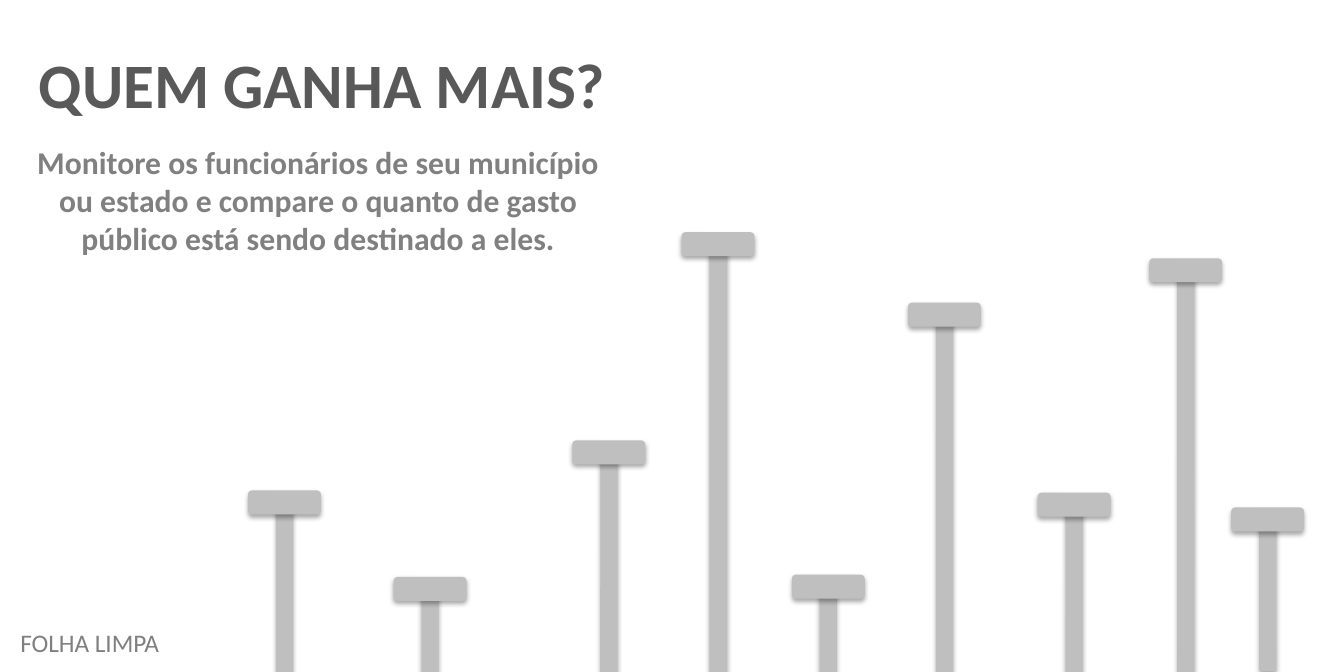
from pptx import Presentation
from pptx.dml.color import RGBColor
from pptx.enum.shapes import MSO_SHAPE as SHAPE
from pptx.enum.text import MSO_ANCHOR as ANCHOR, MSO_AUTO_SIZE as AUTO_SIZE, PP_ALIGN as ALIGN
from pptx.oxml import parse_xml
from pptx.oxml.ns import nsdecls
from pptx.util import Cm, Inches, Pt

FONT = "Calibri"
DARK_GRAY, MID_GRAY, PIN_GRAY = "595959", "808080", "BFBFBF"

CAP_WIDTH, CAP_HEIGHT = 0.64, 0.21
STEM_WIDTH, STEM_DROP = 0.15, 0.13

# Cap left, cap top and stem bottom of each pin, from back to front
PINS = [
    (10.82, 4.46, 5.9), (10.1, 2.27, 6.0), (9.12, 4.33, 6.0),
    (6.96, 5.05, 6.05), (7.98, 2.66, 6.04), (5.99, 2.04, 6.07),
    (2.18, 4.31, 6.04), (5.03, 3.87, 6.06), (3.46, 5.07, 6.07),
]


def color(hex_value):
    return RGBColor.from_string(hex_value)


def write_text(frame, text, size, hex_color, bold=False, align=ALIGN.LEFT, wrap=False):
    frame.word_wrap = wrap
    frame.auto_size = AUTO_SIZE.SHAPE_TO_FIT_TEXT
    frame.vertical_anchor = ANCHOR.TOP
    paragraph = frame.paragraphs[0]
    paragraph.alignment = align
    run = paragraph.add_run()
    run.text = text
    run.font.name = FONT
    run.font.size = Pt(size)
    run.font.bold = bold
    run.font.color.rgb = color(hex_color)


def add_label(slide, left, top, width, height, text, **text_format):
    label = slide.shapes.add_textbox(
        Inches(left), Inches(top), Inches(width), Inches(height))
    write_text(label.text_frame, text, **text_format)


def add_soft_shadow(shape):
    shape.shadow.inherit = False
    effects = shape.element.spPr.find("{*}effectLst")
    effects.append(parse_xml(
        f'<a:outerShdw {nsdecls("a")} blurRad="{Pt(3.1)}" dist="{Pt(1.8)}" '
        'dir="5400000" rotWithShape="0"><a:srgbClr val="000000">'
        '<a:alpha val="35000"/></a:srgbClr></a:outerShdw>'))


def add_bar(group, left, top, width, height):
    bar = group.shapes.add_shape(
        SHAPE.ROUNDED_RECTANGLE,
        Inches(left), Inches(top), Inches(width), Inches(height))
    bar.fill.solid()
    bar.fill.fore_color.rgb = color(PIN_GRAY)
    bar.line.fill.background()
    add_soft_shadow(bar)


def add_pin(slide, cap_left, cap_top, bottom):
    pin = slide.shapes.add_group_shape()
    stem_left = cap_left + (CAP_WIDTH - STEM_WIDTH) / 2
    stem_top = cap_top + STEM_DROP
    add_bar(pin, stem_left, stem_top, STEM_WIDTH, bottom - stem_top)
    add_bar(pin, cap_left, cap_top, CAP_WIDTH, CAP_HEIGHT)


def main():
    # The page is exactly 30 by 15 centimetres
    presentation = Presentation()
    presentation.slide_width = Cm(30)
    presentation.slide_height = Cm(15)
    slide = presentation.slides.add_slide(presentation.slide_layouts[5])

    # Headline
    headline = slide.shapes.title
    headline.left, headline.top = Inches(0.24), Inches(0.35)
    headline.width, headline.height = Inches(5.24), Inches(0.77)
    write_text(headline.text_frame, "QUEM GANHA MAIS?",
               size=40, hex_color=DARK_GRAY, bold=True)

    # Pins of different heights
    for cap_left, cap_top, bottom in PINS:
        add_pin(slide, cap_left, cap_top, bottom)

    # Invitation and project name
    add_label(slide, 0.14, 1.21, 5.31, 1.11,
              "Monitore os funcionários de seu município ou estado e compare "
              "o quanto de gasto público está sendo destinado a eles.",
              size=20, hex_color=MID_GRAY, bold=True, align=ALIGN.CENTER, wrap=True)
    add_label(slide, 0.08, 5.46, 1.46, 0.37, "FOLHA LIMPA",
              size=16, hex_color=MID_GRAY)

    presentation.save("out.pptx")


if __name__ == "__main__":
    main()
